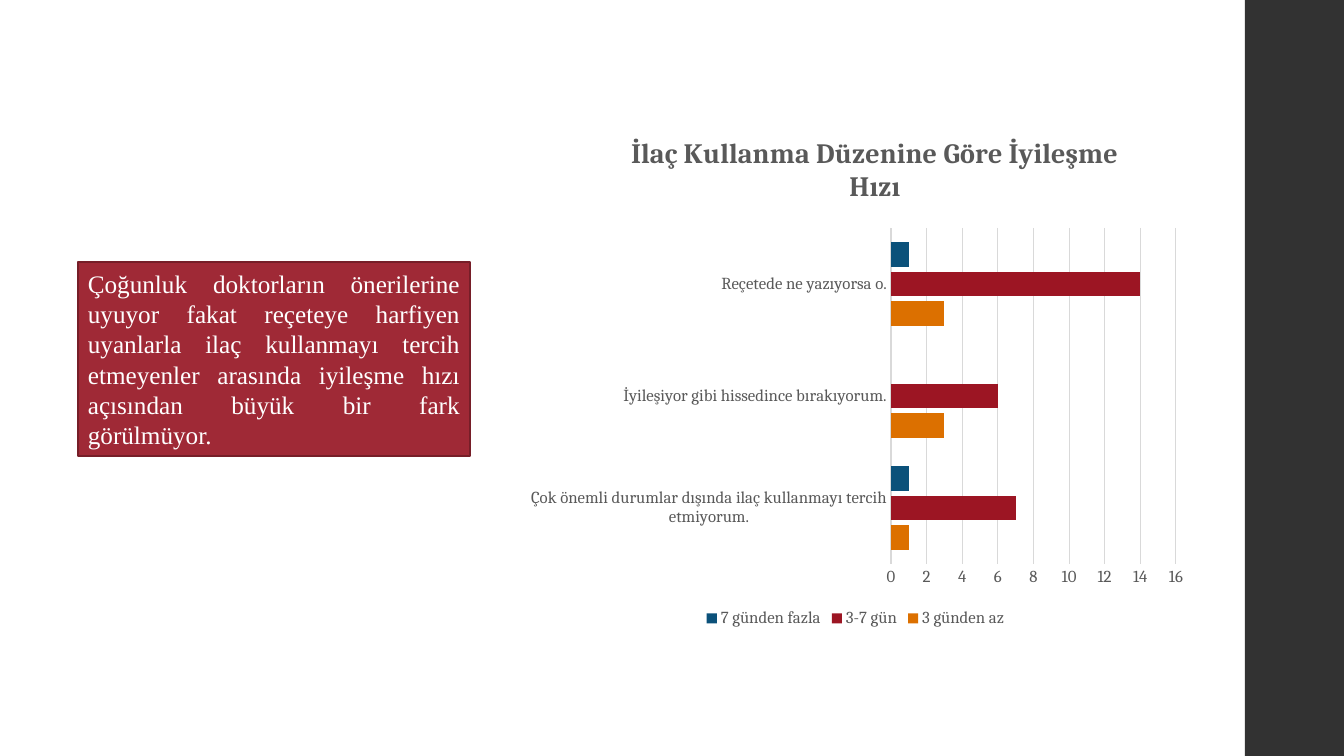
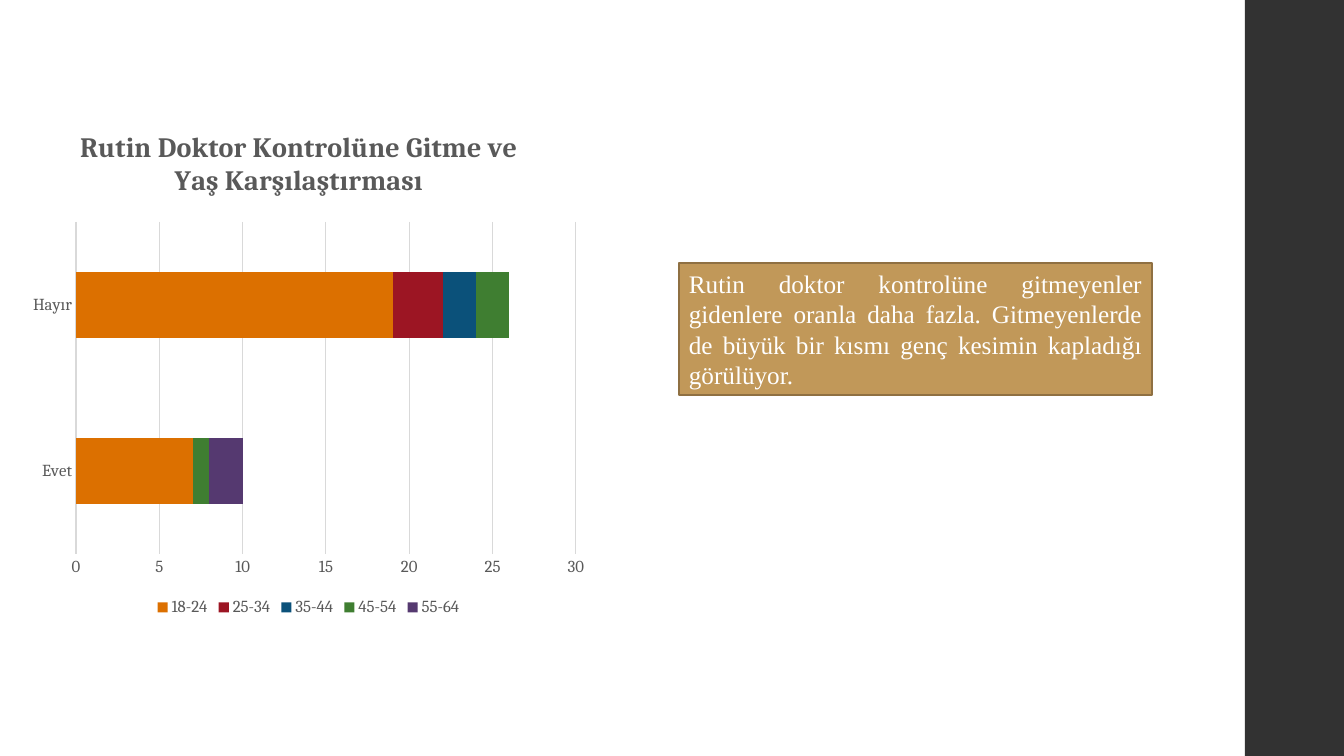
from lxml import etree
from pptx import Presentation
from pptx.chart.data import CategoryChartData
from pptx.dml.color import RGBColor
from pptx.enum.chart import XL_CHART_TYPE, XL_LEGEND_POSITION, XL_TICK_MARK
from pptx.enum.shapes import MSO_SHAPE
from pptx.enum.text import MSO_ANCHOR, MSO_AUTO_SIZE, PP_ALIGN
from pptx.oxml.ns import qn
from pptx.util import Emu, Pt

RECTANGLE = MSO_SHAPE.RECTANGLE
CLUSTERED = XL_CHART_TYPE.BAR_CLUSTERED
STACKED = XL_CHART_TYPE.BAR_STACKED
BOTTOM = XL_LEGEND_POSITION.BOTTOM
NO_TICK = XL_TICK_MARK.NONE
MIDDLE = MSO_ANCHOR.MIDDLE
GROW = MSO_AUTO_SIZE.SHAPE_TO_FIT_TEXT
JUSTIFY = PP_ALIGN.JUSTIFY

WHITE = RGBColor(0xFF, 0xFF, 0xFF)
CHARCOAL = RGBColor(0x32, 0x32, 0x32)
GREY = RGBColor(0x59, 0x59, 0x59)
LIGHT_GREY = RGBColor(0xD9, 0xD9, 0xD9)
ORANGE = RGBColor(0xDC, 0x70, 0x00)
CRIMSON = RGBColor(0x9C, 0x15, 0x23)
BLUE = RGBColor(0x0B, 0x51, 0x7A)
GREEN = RGBColor(0x3F, 0x7E, 0x31)
PURPLE = RGBColor(0x55, 0x39, 0x70)
RED = RGBColor(0x9F, 0x29, 0x36)
DARK_RED = RGBColor(0x76, 0x1E, 0x28)
TAN = RGBColor(0xC1, 0x98, 0x59)
DARK_TAN = RGBColor(0x8F, 0x70, 0x42)

SLIDE_WIDTH, SLIDE_HEIGHT = 1344, 756
EMU_PER_PX = 914400 / 100.8
BAND_LEFT = 1245


def px(length):
    return Emu(round(length * EMU_PER_PX))


class Deck:
    chart_font = "Cambria"
    text_font = "Times New Roman"
    series_colors = (ORANGE, CRIMSON, BLUE, GREEN, PURPLE)

    def __init__(self):
        self.presentation = Presentation()
        self.presentation.slide_width = px(SLIDE_WIDTH)
        self.presentation.slide_height = px(SLIDE_HEIGHT)
        self.slide = None

    def add_slide(self):
        blank = self.presentation.slide_layouts[6]
        self.slide = self.presentation.slides.add_slide(blank)
        band = (BAND_LEFT, 0, SLIDE_WIDTH - BAND_LEFT, SLIDE_HEIGHT)
        self.add_rectangle(band, CHARCOAL)

    def add_rectangle(self, box, fill, line=None):
        shape = self.slide.shapes.add_shape(RECTANGLE, *map(px, box))
        shape.shadow.inherit = False
        shape.fill.solid()
        shape.fill.fore_color.rgb = fill
        if line is None:
            shape.line.fill.background()
        else:
            shape.line.color.rgb = line
            shape.line.width = Pt(1.1)
        return shape

    def add_comment(self, box, text, fill, line):
        frame = self.add_rectangle(box, fill, line).text_frame
        frame.word_wrap = True
        frame.auto_size = GROW
        frame.vertical_anchor = MIDDLE
        paragraph = frame.paragraphs[0]
        paragraph.alignment = JUSTIFY
        run = paragraph.add_run()
        run.text = text
        self.style_font(run.font, self.text_font, 18, WHITE)

    def add_bar_chart(self, kind, box, title, title_at, plot_box, categories,
                      series, gap, overlap, maximum, step):
        data = CategoryChartData()
        data.categories = categories
        for name, values in series:
            data.add_series(name, values)
        chart = self.slide.shapes.add_chart(kind, *map(px, box), data).chart
        chart.font.name = self.chart_font
        chart.font.size = Pt(10)

        plot = chart.plots[0]
        plot.gap_width = gap
        plot.overlap = overlap
        plot.vary_by_categories = False
        for bars, color in zip(plot.series, self.series_colors):
            bars.invert_if_negative = False
            bars.format.fill.solid()
            bars.format.fill.fore_color.rgb = color

        self.style_axes(chart, maximum, step)
        chart.has_legend = True
        chart.legend.position = BOTTOM
        chart.legend.include_in_layout = False
        self.style_font(chart.legend.font, self.chart_font, 12, GREY)

        chart.has_title = True
        run = chart.chart_title.text_frame.paragraphs[0].add_run()
        run.text = title
        self.style_font(run.font, self.chart_font, 20, GREY, True)

        chart_space = chart.element
        self.place(chart_space.find(".//" + qn("c:title")), 1, box, title_at)
        self.place(chart_space.find(".//" + qn("c:plotArea")), 0, box, plot_box)

    def style_axes(self, chart, maximum, step):
        for axis in (chart.category_axis, chart.value_axis):
            axis.major_tick_mark = NO_TICK
            axis.minor_tick_mark = NO_TICK
            self.style_font(axis.tick_labels.font, self.chart_font, 12, GREY)
        category_line = chart.category_axis.format.line
        category_line.color.rgb = LIGHT_GREY
        category_line.width = Pt(1)
        value_axis = chart.value_axis
        value_axis.minimum_scale = 0
        value_axis.maximum_scale = maximum
        value_axis.major_unit = step
        value_axis.format.line.fill.background()
        grid_line = value_axis.major_gridlines.format.line
        grid_line.color.rgb = LIGHT_GREY
        grid_line.width = Pt(0.75)

    @staticmethod
    def style_font(font, name, size, color, bold=False):
        font.name = name
        font.size = Pt(size)
        font.bold = bold
        font.color.rgb = color

    @staticmethod
    def place(parent, index, chart_box, target):
        for layout in parent.findall(qn("c:layout")):
            parent.remove(layout)
        layout = etree.Element(qn("c:layout"))
        parent.insert(index, layout)
        manual = etree.SubElement(layout, qn("c:manualLayout"))
        left, top, width, height = chart_box
        settings = [("xMode", "edge"), ("yMode", "edge"),
                    ("x", (target[0] - left) / width),
                    ("y", (target[1] - top) / height)]
        if len(target) == 4:
            settings.insert(0, ("layoutTarget", "inner"))
            settings += [("w", target[2] / width), ("h", target[3] / height)]
        for tag, value in settings:
            etree.SubElement(manual, qn("c:" + tag)).set("val", str(value))


def main():
    deck = Deck()

    deck.add_slide()
    deck.add_bar_chart(
        CLUSTERED, (514, 117, 683, 515),
        "İlaç Kullanma Düzenine Göre İyileşme Hızı", (626, 130),
        (891, 228, 285, 336),
        ("Çok önemli durumlar dışında ilaç kullanmayı tercih etmiyorum.",
         "İyileşiyor gibi hissedince bırakıyorum.",
         "Reçetede ne yazıyorsa o."),
        (("3 günden az", (1, 3, 3)),
         ("3-7 gün", (7, 6, 14)),
         ("7 günden fazla", (1, None, 1))),
        gap=115, overlap=-20, maximum=16, step=2)
    deck.add_comment(
        (78, 262, 392, 194),
        "Çoğunluk doktorların önerilerine uyuyor fakat reçeteye harfiyen "
        "uyanlarla ilaç kullanmayı tercih etmeyenler arasında iyileşme hızı "
        "açısından büyük bir fark görülmüyor.",
        RED, DARK_RED)

    deck.add_slide()
    deck.add_bar_chart(
        STACKED, (21, 111, 575, 510),
        "Rutin Doktor Kontrolüne Gitme ve Yaş Karşılaştırması", (75, 124),
        (76, 222, 500, 332),
        ("Evet", "Hayır"),
        (("18-24", (7, 19)),
         ("25-34", (None, 3)),
         ("35-44", (None, 2)),
         ("45-54", (1, 2)),
         ("55-64", (2, None))),
        gap=150, overlap=100, maximum=30, step=5)
    deck.add_comment(
        (679, 263, 473, 132),
        "Rutin doktor kontrolüne gitmeyenler gidenlere oranla daha fazla. "
        "Gitmeyenlerde de büyük bir kısmı genç kesimin kapladığı görülüyor.",
        TAN, DARK_TAN)

    deck.presentation.save("out.pptx")


if __name__ == "__main__":
    main()
